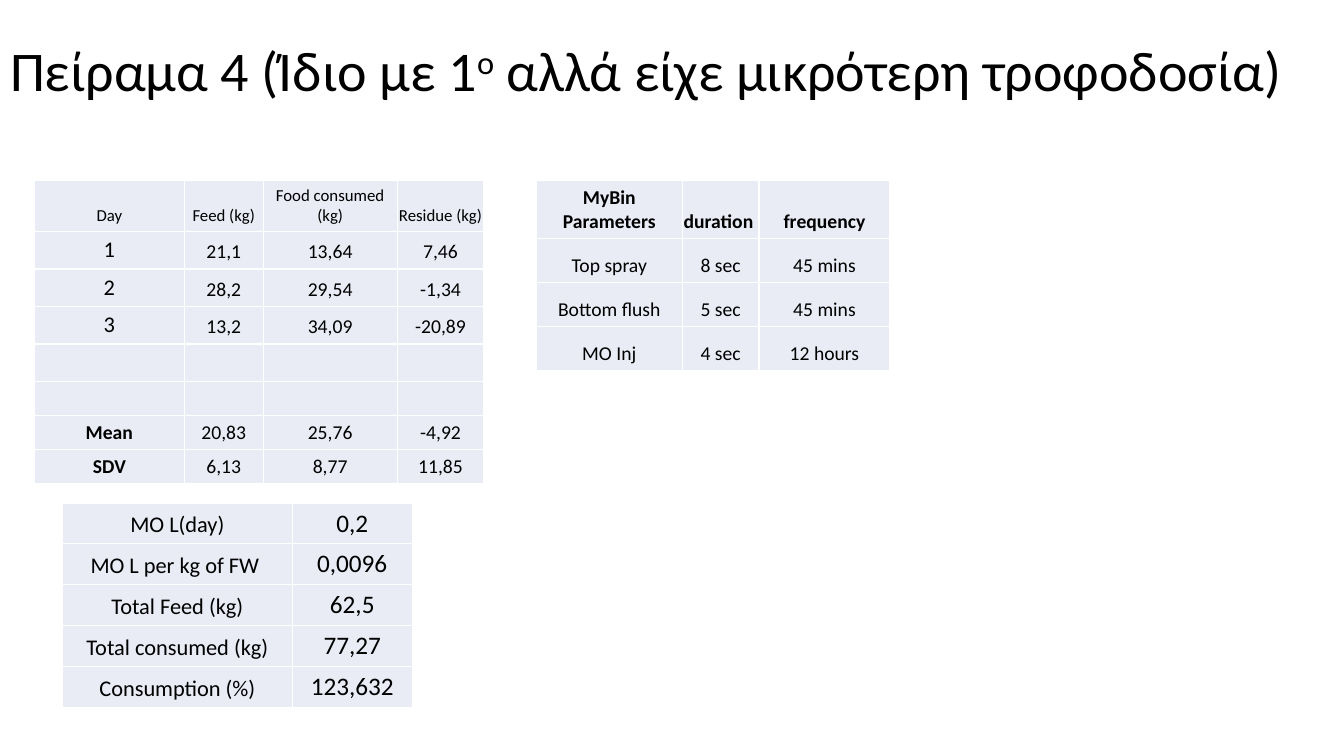
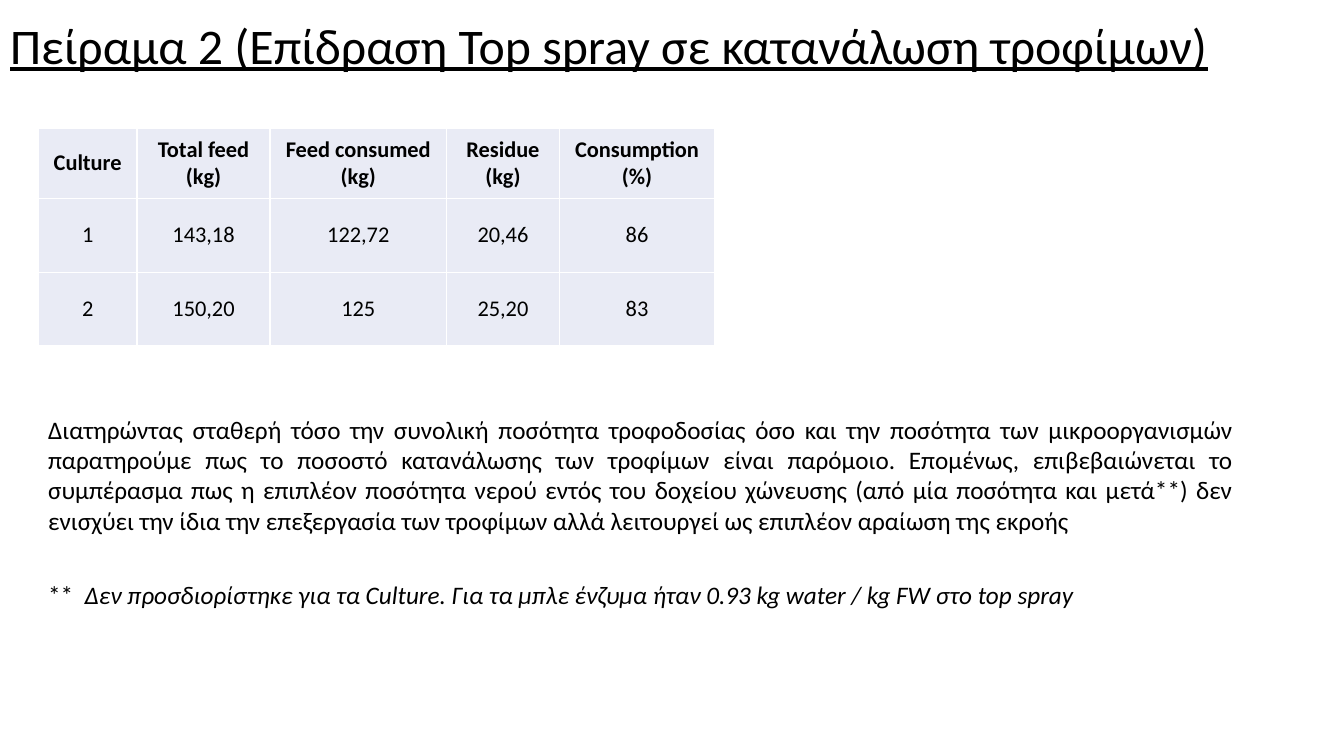
from lxml.etree import SubElement
from pptx import Presentation
from pptx.dml.color import RGBColor
from pptx.enum.text import MSO_ANCHOR as Anchor, PP_ALIGN as Align
from pptx.oxml.ns import qn
from pptx.util import Inches, Pt

COLORS = {"text": "000000", "cell": "E9EBF5", "border": "FFFFFF"}
FONT = "Calibri"

presentation = Presentation()
presentation.slide_width = Inches(13.33)
presentation.slide_height = Inches(7.5)

# The slide is a grid of 100 columns by 100 rows.
COLUMN = presentation.slide_width / 100
ROW = presentation.slide_height / 100


def format_text(paragraph, size, align, bold=False, underline=False):
    paragraph.alignment = align
    for run in paragraph.runs:
        run.font.name = FONT
        run.font.size = Pt(size)
        run.font.bold = bold
        run.font.underline = underline
        run.font.color.rgb = RGBColor.from_string(COLORS["text"])


def add_grid_table(slide, left, top, widths, heights, texts, size, bold,
                   anchor=Anchor.BOTTOM, side_margin=0.01):
    """Add a table; size and bold are functions of the row and column index."""
    table = slide.shapes.add_table(
        len(heights), len(widths), int(left * COLUMN), int(top * ROW),
        int(sum(widths) * COLUMN), int(sum(heights) * ROW)).table
    table.first_row = table.horz_banding = False
    for column, width in zip(table.columns, widths):
        column.width = int(width * COLUMN)
    for r, (row, height) in enumerate(zip(table.rows, heights)):
        row.height = int(height * ROW)
        for c, cell in enumerate(row.cells):
            properties = cell._tc.get_or_add_tcPr()
            for side in ("lnL", "lnR", "lnT", "lnB"):
                line = SubElement(properties, qn(f"a:{side}"), w=str(Pt(0.96)))
                fill = SubElement(line, qn("a:solidFill"))
                SubElement(fill, qn("a:srgbClr"), val=COLORS["border"])
            cell.fill.solid()
            cell.fill.fore_color.rgb = RGBColor.from_string(COLORS["cell"])
            cell.vertical_anchor = anchor
            cell.margin_left = cell.margin_right = Inches(side_margin)
            # Empty cells need no padding, so their rows keep the set height.
            cell.margin_top = cell.margin_bottom = Inches(0.05 if texts[r][c] else 0)
            if texts[r][c]:
                cell.text_frame.text = texts[r][c]
                format_text(cell.text_frame.paragraphs[0], size(r, c), Align.CENTER, bold(r, c))


# Titles
titles = [
    (["Πείραμα 4 (Ίδιο με 1", "ο", " αλλά είχε μικρότερη τροφοδοσία)"], 0, 19.33, 40, False),
    (["Πείραμα 2 (Επίδραση Top spray σε κατανάλωση τροφίμων)"], 0.27, 12.13, 35.6, True),
]
slides = []
for parts, top, height, size, underline in titles:
    slide = presentation.slides.add_slide(presentation.slide_layouts[5])
    title = slide.shapes.title
    title.left, title.top = 0, int(top * ROW)
    title.width, title.height = presentation.slide_width, int(height * ROW)
    title.text_frame.vertical_anchor = Anchor.MIDDLE
    paragraph = title.text_frame.paragraphs[0]
    paragraph.line_spacing = 0.9
    for part in parts:
        paragraph.add_run().text = part
    format_text(paragraph, size, Align.LEFT, underline=underline)
    slides.append(slide)
feed_slide, spray_slide = slides
ordinal = feed_slide.shapes.title.text_frame.paragraphs[0].runs[1]
ordinal._r.get_or_add_rPr().set("baseline", "30000")

# Slide 1: daily feed, totals and machine parameters
add_grid_table(
    feed_slide, 2.55, 23.87, [11.18, 5.85, 9.98, 6.45], [6.61] + [4.96] * 4 + [4.5] * 3,
    [["Day", "Feed (kg)", "Food consumed (kg)", "Residue (kg)"],
     ["1", "21,1", "13,64", "7,46"],
     ["2", "28,2", "29,54", "-1,34"],
     ["3", "13,2", "34,09", "-20,89"],
     [""] * 4,
     [""] * 4,
     ["Mean", "20,83", "25,76", "-4,92"],
     ["SDV", "6,13", "8,77", "11,85"]],
    size=lambda r, c: 12 if r == 0 else 16 if c == 0 and r < 6 else 14,
    bold=lambda r, c: c == 0 and r >= 6)

add_grid_table(
    feed_slide, 4.65, 66.53, [17.1, 8.93], [5.4] * 5,
    [["MO L(day)", "0,2"],
     ["MO L per kg of FW ", "0,0096"],
     ["Total Feed (kg)", "62,5"],
     ["Total consumed (kg)", "77,27"],
     ["Consumption (%)", "123,632"]],
    size=lambda r, c: 18 if c else 16,
    bold=lambda r, c: False)

add_grid_table(
    feed_slide, 39.9, 23.87, [10.88, 5.7, 9.75], [7.55] + [5.83] * 3,
    [["MyBin Parameters", "duration ", "frequency"],
     ["Top spray", "8 sec", "45 mins"],
     ["Bottom flush", "5 sec", "45 mins"],
     ["MO Inj", "4 sec", "12 hours"]],
    size=lambda r, c: 14,
    bold=lambda r, c: r == 0)

# Slide 2: comparison and conclusions
add_grid_table(
    spray_slide, 2.85, 16.93, [7.35, 9.9, 13.13, 8.4, 11.55], [9.3, 9.77, 9.77],
    [["Culture", "Total feed (kg)", "Feed consumed (kg)", "Residue (kg)", "Consumption (%)"],
     ["1", "143,18", "122,72", "20,46", "86"],
     ["2", "150,20", "125", "25,20", "83"]],
    size=lambda r, c: 16,
    bold=lambda r, c: r == 0,
    anchor=Anchor.MIDDLE, side_margin=0.05)

conclusion = (
    "Διατηρώντας σταθερή τόσο την συνολική ποσότητα τροφοδοσίας όσο και την ποσότητα των "
    "μικροοργανισμών παρατηρούμε πως το ποσοστό κατανάλωσης των τροφίμων είναι παρόμοιο. "
    "Επομένως, επιβεβαιώνεται το συμπέρασμα πως η επιπλέον ποσότητα νερού εντός του δοχείου "
    "χώνευσης (από μία ποσότητα και μετά**) δεν ενισχύει την ίδια την επεξεργασία των τροφίμων "
    "αλλά λειτουργεί ως επιπλέον αραίωση της εκροής")
footnote = ("Δεν προσδιορίστηκε για τα Culture. Για τα μπλε ένζυμα ήταν "
            "0.93 kg water / kg FW στο top spray")
for parts, top, height in [([conclusion], 54.13, 17.33), (["**  ", footnote], 76, 5.33)]:
    text_box = spray_slide.shapes.add_textbox(
        int(2.85 * COLUMN), int(top * ROW), int(89.65 * COLUMN), int(height * ROW))
    text_box.text_frame.word_wrap = True
    paragraph = text_box.text_frame.paragraphs[0]
    for part in parts:
        paragraph.add_run().text = part
    format_text(paragraph, 18, Align.JUSTIFY)
paragraph.runs[-1].font.italic = True

presentation.save("out.pptx")
